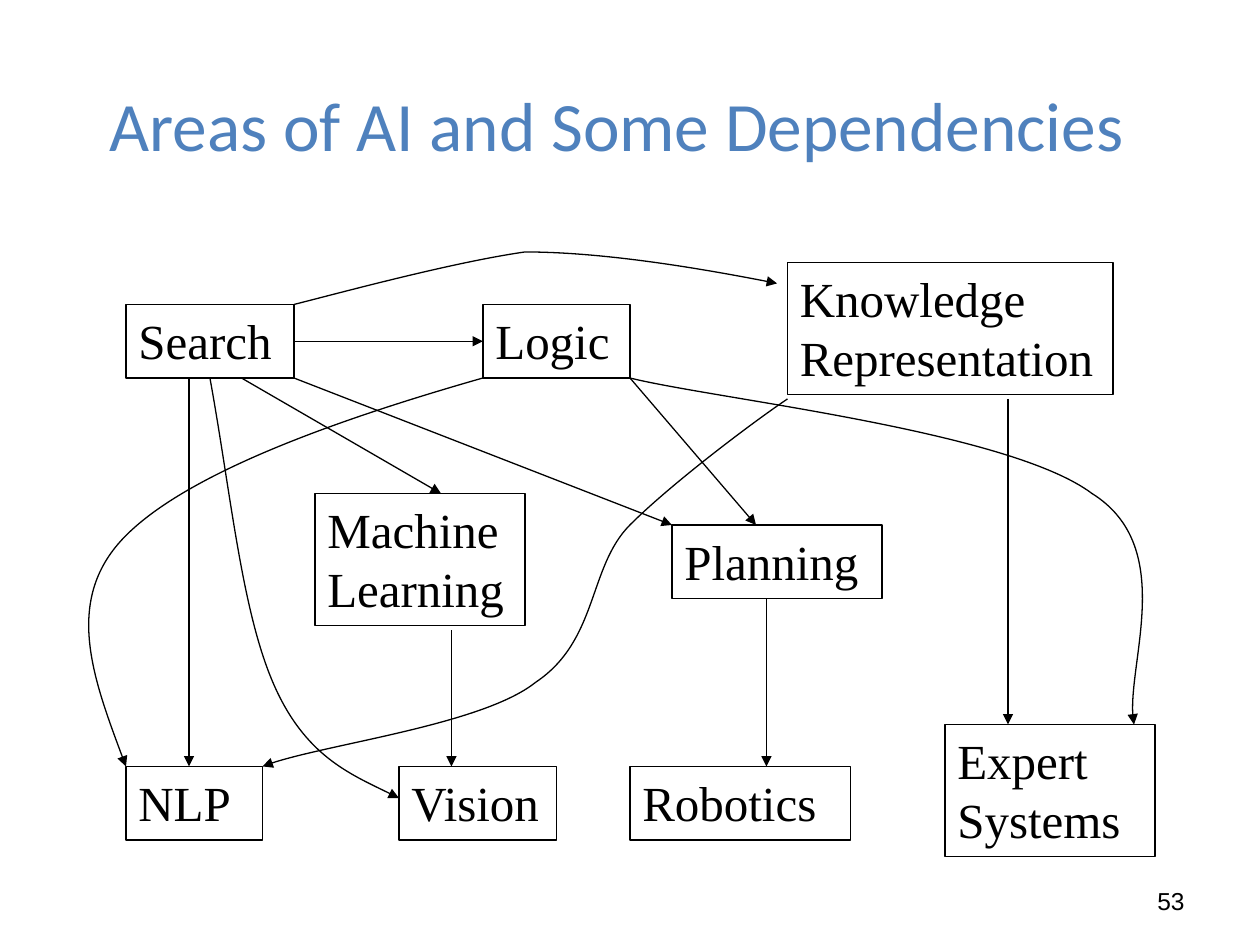
from dataclasses import dataclass
from typing import Optional

import pptx
import pptx.dml.color
import pptx.enum.shapes
import pptx.enum.text
import pptx.oxml
import pptx.oxml.ns
import pptx.util

COLORS = {"title": "4F81BD", "ink": "000000"}
ALIGN = pptx.enum.text.PP_ALIGN
ANCHOR = pptx.enum.text.MSO_ANCHOR
RIGHT_SIDE, LEFT_SIDE = 3, 1

# The slide is a grid of 120 columns by 90 rows, twelve to the inch
CELL = pptx.util.Inches(1) // 12
SHORT, TALL = 7, 12.6  # rows of a one-line and a two-line area


@dataclass
class Area:
    label: str
    col: float
    row: float
    cols: float
    rows: float = SHORT


@dataclass
class Arrow:
    start: tuple[float, float]
    end: tuple[float, float]
    source: Optional[str] = None  # area joined at its right side
    target: Optional[str] = None  # area joined at its left side


@dataclass
class Curve:
    start: tuple[float, float]
    controls: list[tuple[float, float]]  # three points per Bezier segment


AREAS = [
    Area("Search", 12, 29, 16),
    Area("Vision", 38, 73, 15),
    Area("Planning", 64, 50, 20),
    Area("Machine Learning", 30, 47, 20, TALL),
    Area("Knowledge Representation", 75, 25, 31, TALL),
    Area("Logic", 46, 29, 14),
    Area("Expert Systems", 90, 69, 20, TALL),
    Area("Robotics", 60, 73, 21),
    Area("NLP", 12, 73, 13),
]

ARROWS = [
    Arrow((18, 36), (18, 73)),
    Arrow((28, 33), (46, 33), "Search", "Logic"),
    Arrow((28, 36), (64, 50)),
    Arrow((23, 36), (42, 47)),
    Arrow((60, 36), (72, 50)),
    Arrow((96, 38), (96, 69)),
    Arrow((43, 60), (43, 73)),
    Arrow((73, 57), (73, 73)),
]

CURVES = [
    # Search to Knowledge Representation
    Curve((28, 29), [(31.7, 28.2), (42.6, 24.7), (50.3, 24.4),
                     (57.9, 24), (69.1, 26.4), (74, 27)]),
    # Search to Vision
    Curve((20, 36), [(21.5, 47.2), (23, 58.3), (26, 65),
                     (29, 71.7), (33.5, 73.8), (38, 76)]),
    # Logic to NLP
    Curve((46, 36), [(31.8, 40.4), (17.6, 44.9), (12, 51),
                     (6.4, 57.1), (9.1, 65), (12, 73)]),
    # Logic to Expert Systems
    Curve((60, 36), [(67.5, 37.8), (96.5, 41.3), (104.5, 46.8),
                     (112.5, 52.3), (107.3, 64.3), (108, 69)]),
    # Knowledge Representation to NLP
    Curve((75, 38), [(72.4, 40), (63.5, 45.5), (59.5, 50),
                     (55.5, 54.5), (57.1, 61.3), (51.4, 65.2),
                     (45.6, 69), (30.5, 71.4), (25, 73)]),
]


def grid(*values: float) -> list[int]:
    return [round(value * CELL) for value in values]


def rgb(name: str) -> pptx.dml.color.RGBColor:
    return pptx.dml.color.RGBColor.from_string(COLORS[name])


def write(shape, text: str, *, font: str, size: float, color: str = "ink",
          align=ALIGN.LEFT, anchor=ANCHOR.MIDDLE, line_spacing=None) -> None:
    frame = shape.text_frame
    frame.word_wrap = True
    frame.auto_size = pptx.enum.text.MSO_AUTO_SIZE.NONE
    frame.vertical_anchor = anchor
    paragraph = frame.paragraphs[0]
    paragraph.alignment = align
    paragraph.line_spacing = line_spacing
    run = paragraph.add_run()
    run.text = text
    run.font.name = font
    run.font.size = pptx.util.Pt(size)
    run.font.color.rgb = rgb(color)


def outline(shape) -> None:
    shape.line.color.rgb = rgb("ink")
    shape.line.width = pptx.util.Pt(0.75)


def add_arrowhead(shape) -> None:
    head = pptx.oxml.parse_xml(
        f'<a:tailEnd {pptx.oxml.ns.nsdecls("a")} type="triangle"/>')
    shape.line._get_or_add_ln().append(head)


def draw_area(slide, area: Area):
    box = slide.shapes.add_shape(
        pptx.enum.shapes.MSO_SHAPE.RECTANGLE,
        *grid(area.col, area.row, area.cols, area.rows))
    box.shadow.inherit = False
    box.fill.background()
    outline(box)
    write(box, area.label, font="Times New Roman", size=28,
          anchor=ANCHOR.TOP, line_spacing=pptx.util.Pt(33.7))
    return box


def draw_arrow(slide, arrow: Arrow, boxes: dict) -> None:
    connector = slide.shapes.add_connector(
        pptx.enum.shapes.MSO_CONNECTOR.STRAIGHT,
        *grid(*arrow.start, *arrow.end))
    if arrow.source:
        connector.begin_connect(boxes[arrow.source], RIGHT_SIDE)
    if arrow.target:
        connector.end_connect(boxes[arrow.target], LEFT_SIDE)
    outline(connector)
    add_arrowhead(connector)
    connector._element.spPr.append(pptx.oxml.parse_xml(
        f'<a:effectLst {pptx.oxml.ns.nsdecls("a")}/>'))


def draw_curve(slide, curve: Curve) -> None:
    builder = slide.shapes.build_freeform(*curve.start, scale=CELL)
    builder.add_line_segments(curve.controls, close=False)
    shape = builder.convert_to_shape()
    # Turn each three straight segments into one Bezier segment
    segments = shape._element.xpath(".//a:path/a:lnTo")
    for first in range(0, len(segments), 3):
        bezier = pptx.oxml.parse_xml(
            f'<a:cubicBezTo {pptx.oxml.ns.nsdecls("a")}/>')
        segments[first].addprevious(bezier)
        for segment in segments[first:first + 3]:
            bezier.append(segment[0])
            segment.getparent().remove(segment)
    shape.shadow.inherit = False
    shape.fill.background()
    outline(shape)
    add_arrowhead(shape)


def main() -> None:
    deck = pptx.Presentation()
    deck.slide_width, deck.slide_height = grid(120, 90)
    slide = deck.slides.add_slide(deck.slide_layouts.get_by_name("Title Only"))

    # Title
    title = slide.shapes.title
    title.left, title.top, title.width, title.height = grid(7.1, 7, 103.3, 9.5)
    write(title, "Areas of AI and Some Dependencies", font="Calibri",
          size=39.6, color="title", align=ALIGN.CENTER)

    # Areas and their dependencies
    boxes = {area.label: draw_area(slide, area) for area in AREAS}
    for arrow in ARROWS:
        draw_arrow(slide, arrow, boxes)
    for curve in CURVES:
        draw_curve(slide, curve)

    # Page number
    page_number = slide.shapes.add_textbox(*grid(86, 83.4, 28, 4.8))
    write(page_number, "53", font="Arial", size=14, align=ALIGN.RIGHT)

    deck.save("out.pptx")


if __name__ == "__main__":
    main()
